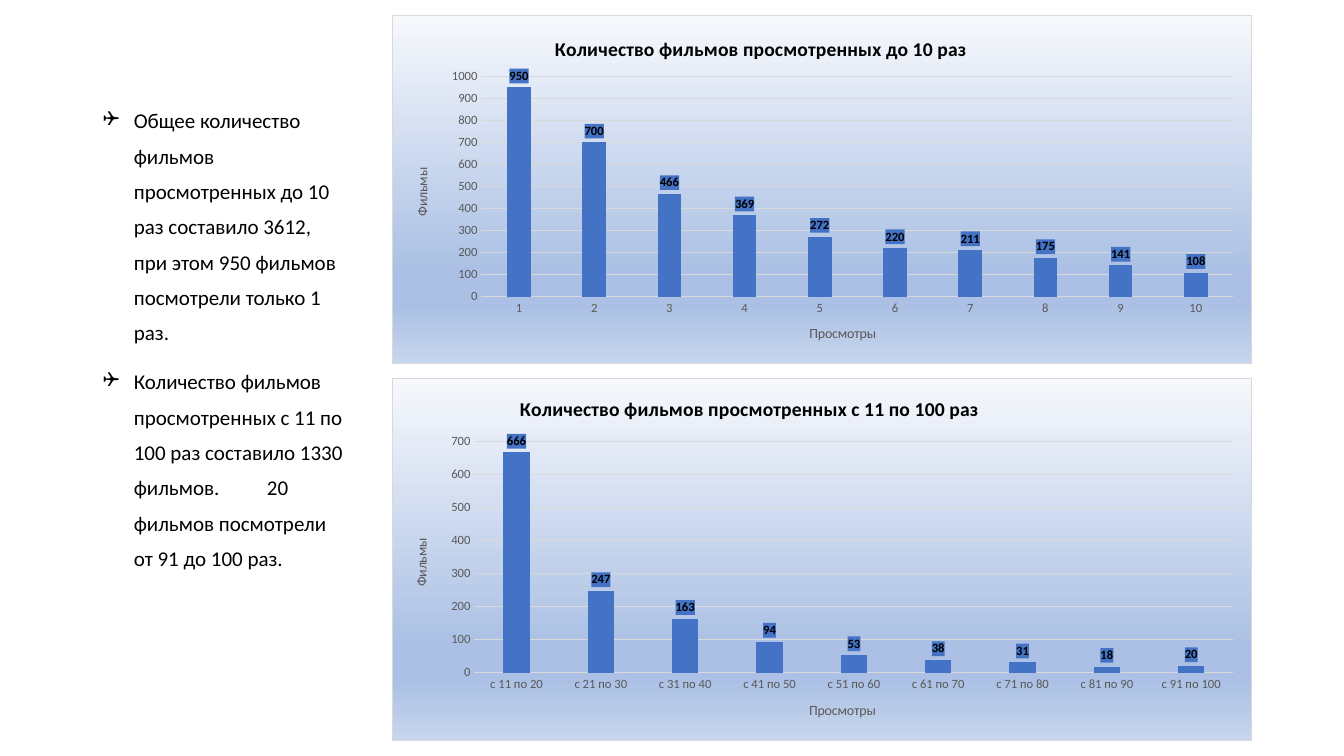
from lxml import etree
from pptx import Presentation
from pptx.chart.data import CategoryChartData as ChartData
from pptx.dml.color import RGBColor as RGB
from pptx.enum.chart import XL_CHART_TYPE as Kind, XL_LABEL_POSITION as Spot, XL_TICK_MARK as Tick
from pptx.oxml import parse_xml
from pptx.oxml.ns import nsdecls, qn
from pptx.util import Emu, Pt

SIZE = (1344, 756)
COLORS = {"ink": "000000", "gray": "595959", "grid": "D9D9D9", "bar": "4472C4"}
STOPS = [(0, "F6F8FC"), (74, "ABC0E4"), (83, "ABC0E4"), (100, "C7D5ED")]
FONT = "Calibri"
AXES = ("Просмотры", "Фильмы")

NOTES = [
    "Общее количество фильмов просмотренных до 10 раз составило 3612, "
    "при этом 950 фильмов посмотрели только 1 раз.",
    "Количество фильмов просмотренных с 11 по 100 раз составило 1330 фильмов.\t"
    "20 фильмов посмотрели от 91 до 100 раз.",
]
NOTE_BOX = (93, 93, 262, 504)
INDENT, TAB = 31, 164

# box: left, top, width, height; plot: the same, on the slide; head: left, top
CHARTS = [
    {"title": "Количество фильмов просмотренных до 10 раз",
     "cats": [str(n) for n in range(1, 11)],
     "vals": [950, 700, 466, 369, 272, 220, 211, 175, 141, 108],
     "top": 1000, "box": (392, 15, 860, 349),
     "plot": (481, 76, 753, 221), "head": (551, 31)},
    {"title": "Количество фильмов просмотренных с 11 по 100 раз",
     "cats": [f"с {n} по {n + 9}" for n in range(11, 92, 10)],
     "vals": [666, 247, 163, 94, 53, 38, 31, 18, 20],
     "top": 700, "box": (392, 378, 860, 363),
     "plot": (474, 441, 760, 232), "head": (516, 391)},
]


def px(n):
    return Emu(round(n * 914400 / 100.8))


def paint(font, size, color, bold=False):
    for key, val in {"name": FONT, "size": Pt(size), "bold": bold}.items():
        setattr(font, key, val)
    font.color.rgb = RGB.from_string(COLORS[color])


def rule(line):
    line.color.rgb = RGB.from_string(COLORS["grid"])
    line.width = Pt(0.75)


def place(host, index, box, area, inner=False):
    """Fix a chart part at a slide position given in px."""
    for old in host.findall(qn("c:layout")):
        host.remove(old)
    left, top, wide, high = box
    parts = {"layoutTarget": "inner"} if inner else {}
    parts |= {"xMode": "edge", "yMode": "edge"}
    parts |= {"x": round((area[0] - left) / wide, 4), "y": round((area[1] - top) / high, 4)}
    if inner:
        parts |= {"w": round(area[2] / wide, 4), "h": round(area[3] / high, 4)}
    layout = etree.Element(qn("c:layout"))
    manual = etree.SubElement(layout, qn("c:manualLayout"))
    for tag, val in parts.items():
        etree.SubElement(manual, qn(f"c:{tag}")).set("val", str(val))
    host.insert(index, layout)


def shade(chart):
    """Give the chart area its gradient and border."""
    stops = "".join(f'<a:gs pos="{at * 1000}"><a:srgbClr val="{hue}"/></a:gs>'
                    for at, hue in STOPS)
    area = parse_xml(
        f'<c:spPr {nsdecls("c", "a")}><a:gradFill><a:gsLst>{stops}</a:gsLst>'
        f'<a:lin ang="5400000" scaled="0"/></a:gradFill><a:ln w="9525"><a:solidFill>'
        f'<a:srgbClr val="{COLORS["grid"]}"/></a:solidFill></a:ln></c:spPr>')
    chart.element.find(qn("c:chart")).addnext(area)


def label(title, text, size, color, bold=False):
    frame = title.text_frame
    frame.text = text
    paint(frame.paragraphs[0].runs[0].font, size, color, bold)


def draw_chart(slide, info):
    data = ChartData()
    data.categories = info["cats"]
    data.add_series("Фильмы", info["vals"])
    chart = slide.shapes.add_chart(
        Kind.COLUMN_CLUSTERED, *map(px, info["box"]), data).chart
    chart.has_legend = False
    paint(chart.font, 10, "ink")
    label(chart.chart_title, info["title"], 14, "ink", True)
    chart.chart_title.include_in_layout = False
    place(chart.chart_title._element, 1, info["box"], info["head"])
    root = chart.element.find(qn("c:chart"))
    place(root.find(qn("c:plotArea")), 0, info["box"], info["plot"], True)
    shade(chart)

    cat, val = chart.category_axis, chart.value_axis
    for axis, name in zip((cat, val), AXES):
        label(axis.axis_title, name, 10, "gray")
        paint(axis.tick_labels.font, 9, "gray")
        axis.major_tick_mark = axis.minor_tick_mark = Tick.NONE
    rule(cat.format.line)
    rule(val.major_gridlines.format.line)
    val.format.line.fill.background()
    for key, num in {"minimum_scale": 0, "maximum_scale": info["top"], "major_unit": 100}.items():
        setattr(val, key, num)

    plot = chart.plots[0]
    for key, num in {"gap_width": 219, "overlap": -27, "vary_by_categories": False}.items():
        setattr(plot, key, num)
    bars = plot.series[0]
    bars.format.fill.solid()
    bars.format.fill.fore_color.rgb = RGB.from_string(COLORS["bar"])
    tags = bars.data_labels
    tags.show_value = True
    tags.position = Spot.OUTSIDE_END
    paint(tags.font, 9, "ink", True)
    tags._element.find(qn("c:txPr")).addprevious(parse_xml(
        f'<c:spPr {nsdecls("c", "a")}><a:solidFill>'
        f'<a:srgbClr val="{COLORS["bar"]}"/></a:solidFill></c:spPr>'))


def draw_notes(slide):
    frame = slide.shapes.add_textbox(*map(px, NOTE_BOX)).text_frame
    frame.word_wrap = True
    for i, note in enumerate(NOTES):
        para = frame.add_paragraph() if i else frame.paragraphs[0]
        para.line_spacing = 1.4
        para.space_before = Pt(10)
        run = para.add_run()
        run.text = note
        paint(run.font, 15, "ink")
        props = para._p.get_or_add_pPr()
        props.set("marL", str(px(INDENT)))
        props.set("indent", str(-px(INDENT)))
        etree.SubElement(props, qn("a:buFont")).set("typeface", "Wingdings")
        etree.SubElement(props, qn("a:buChar")).set("char", "❑")
        tabs = etree.SubElement(props, qn("a:tabLst"))
        etree.SubElement(tabs, qn("a:tab"), pos=str(px(TAB)), algn="l")


def main():
    deck = Presentation()
    deck.slide_width, deck.slide_height = map(px, SIZE)
    slide = deck.slides.add_slide(deck.slide_layouts[6])
    for info in CHARTS:
        draw_chart(slide, info)
    draw_notes(slide)
    deck.save("out.pptx")


if __name__ == "__main__":
    main()
